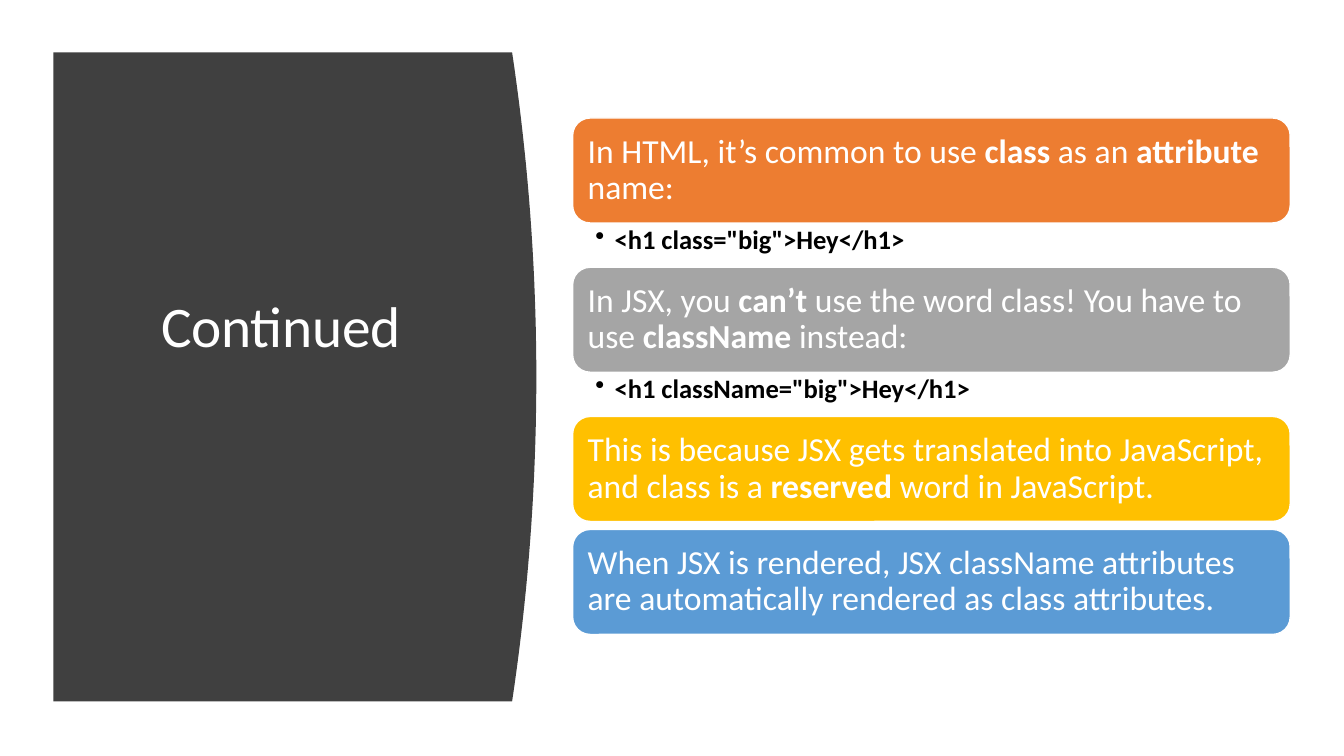
from dataclasses import dataclass

from lxml.etree import SubElement
from pptx import Presentation
from pptx.dml.color import RGBColor
from pptx.enum.shapes import MSO_SHAPE as Preset
from pptx.enum.text import MSO_ANCHOR as Anchor, MSO_AUTO_SIZE as AutoSize, PP_ALIGN as Align
from pptx.oxml.ns import qn
from pptx.slide import Slide
from pptx.text.text import TextFrame, _Paragraph as Paragraph
from pptx.util import Pt


@dataclass(frozen=True)
class Theme:
    font: str = "Calibri"
    panel: str = "404040"
    light: str = "FFFFFF"
    dark: str = "000000"
    orange: str = "ED7D31"
    gray: str = "A5A5A5"
    gold: str = "FFC000"
    blue: str = "5B9BD5"
    title_size: float = 41
    card_size: float = 24
    code_size: float = 19


@dataclass(frozen=True)
class Span:
    text: str
    bold: bool = False


@dataclass(frozen=True)
class Card:
    color: str
    spans: tuple[Span, ...]
    code: str = ""


THEME = Theme()
CARD_LEFT, CARD_WIDTH, CARD_HEIGHT = 409, 512.6, 75
FIRST_CARD_TOP = 84.3
CODE_HEIGHT, CARD_GAP = 31.6, 5.7

CARDS = (
    Card(
        THEME.orange,
        (
            Span("In HTML, it’s common to use "),
            Span("class", True),
            Span(" as an "),
            Span("attribute", True),
            Span(" name:"),
        ),
        '<h1 class="big">Hey</h1>',
    ),
    Card(
        THEME.gray,
        (
            Span("In JSX, you "),
            Span("can’t", True),
            Span(" use the word class! You have to use "),
            Span("className", True),
            Span(" instead:"),
        ),
        '<h1 className="big">Hey</h1>',
    ),
    Card(
        THEME.gold,
        (
            Span("This is because JSX gets translated into JavaScript, and class is a "),
            Span("reserved", True),
            Span(" word in JavaScript."),
        ),
    ),
    Card(
        THEME.blue,
        (
            Span(
                "When JSX is rendered, JSX className attributes are "
                "automatically rendered as class attributes."
            ),
        ),
    ),
)


def rgb(color: str) -> RGBColor:
    return RGBColor.from_string(color)


def add_span(paragraph: Paragraph, span: Span, size: float, color: str) -> None:
    run = paragraph.add_run()
    run.text = span.text
    run.font.name = THEME.font
    run.font.size = Pt(size)
    run.font.bold = span.bold
    run.font.color.rgb = rgb(color)


def set_margins(frame: TextFrame, left: float, top: float, right: float, bottom: float) -> None:
    frame.margin_left, frame.margin_top = Pt(left), Pt(top)
    frame.margin_right, frame.margin_bottom = Pt(right), Pt(bottom)


def add_panel(slide: Slide) -> None:
    """Draw the dark panel, whose right edge is a shallow parabola."""
    left, top, bottom = 38.2, 37.4, 501.1
    edge, bulge, steps = 365.8, 17.3, 40
    curve = []
    for step in range(steps + 1):
        ratio = step / steps
        x = edge + bulge * (1 - (2 * ratio - 1) ** 2)
        curve.append((Pt(x), Pt(top + ratio * (bottom - top))))
    builder = slide.shapes.build_freeform(Pt(left), Pt(top))
    builder.add_line_segments([*curve, (Pt(left), Pt(bottom))], close=True)
    panel = builder.convert_to_shape()
    panel.shadow.inherit = False
    panel.fill.solid()
    panel.fill.fore_color.rgb = rgb(THEME.panel)
    panel.line.fill.background()


def add_title(slide: Slide, text: str) -> None:
    title = slide.shapes.add_textbox(Pt(108), Pt(203.8), Pt(216), Pt(57))
    frame = title.text_frame
    frame.word_wrap = True
    frame.auto_size = AutoSize.SHAPE_TO_FIT_TEXT
    paragraph = frame.paragraphs[0]
    add_span(paragraph, Span(text), THEME.title_size, THEME.light)
    paragraph.runs[0].font._element.set("spc", "-20")


def add_card(slide: Slide, card: Card, top: float) -> None:
    box = slide.shapes.add_shape(
        Preset.ROUNDED_RECTANGLE, Pt(CARD_LEFT), Pt(top), Pt(CARD_WIDTH), Pt(CARD_HEIGHT)
    )
    box.shadow.inherit = False
    box.fill.solid()
    box.fill.fore_color.rgb = rgb(card.color)
    box.line.color.rgb = rgb(THEME.light)
    box.line.width = Pt(1)
    frame = box.text_frame
    frame.word_wrap = True
    frame.vertical_anchor = Anchor.MIDDLE
    set_margins(frame, 7.2, 7.2, 7.2, 7.2)
    paragraph = frame.paragraphs[0]
    paragraph.alignment = Align.LEFT
    paragraph.line_spacing = 0.9
    for span in card.spans:
        add_span(paragraph, span, THEME.card_size, THEME.light)


def add_code(slide: Slide, code: str, top: float) -> None:
    box = slide.shapes.add_textbox(Pt(CARD_LEFT), Pt(top), Pt(CARD_WIDTH), Pt(CODE_HEIGHT))
    frame = box.text_frame
    frame.word_wrap = True
    set_margins(frame, 16.3, 2.2, 13.7, 2.2)
    paragraph = frame.paragraphs[0]
    paragraph.level = 1
    paragraph.line_spacing = 0.9
    properties = paragraph._p.get_or_add_pPr()
    properties.set("marL", str(Pt(13.7)))
    properties.set("indent", str(-Pt(13.7)))
    SubElement(properties, qn("a:buChar")).set("char", "•")
    add_span(paragraph, Span(code, True), THEME.code_size, THEME.dark)


def main() -> None:
    deck = Presentation()
    deck.slide_width, deck.slide_height = Pt(960), Pt(540)
    slide = deck.slides.add_slide(deck.slide_layouts[6])
    add_panel(slide)
    top = FIRST_CARD_TOP
    for card in CARDS:
        add_card(slide, card, top)
        top += CARD_HEIGHT
        if card.code:
            add_code(slide, card.code, top)
            top += CODE_HEIGHT
        else:
            top += CARD_GAP
    add_title(slide, "Continued")
    deck.save("out.pptx")


if __name__ == "__main__":
    main()
